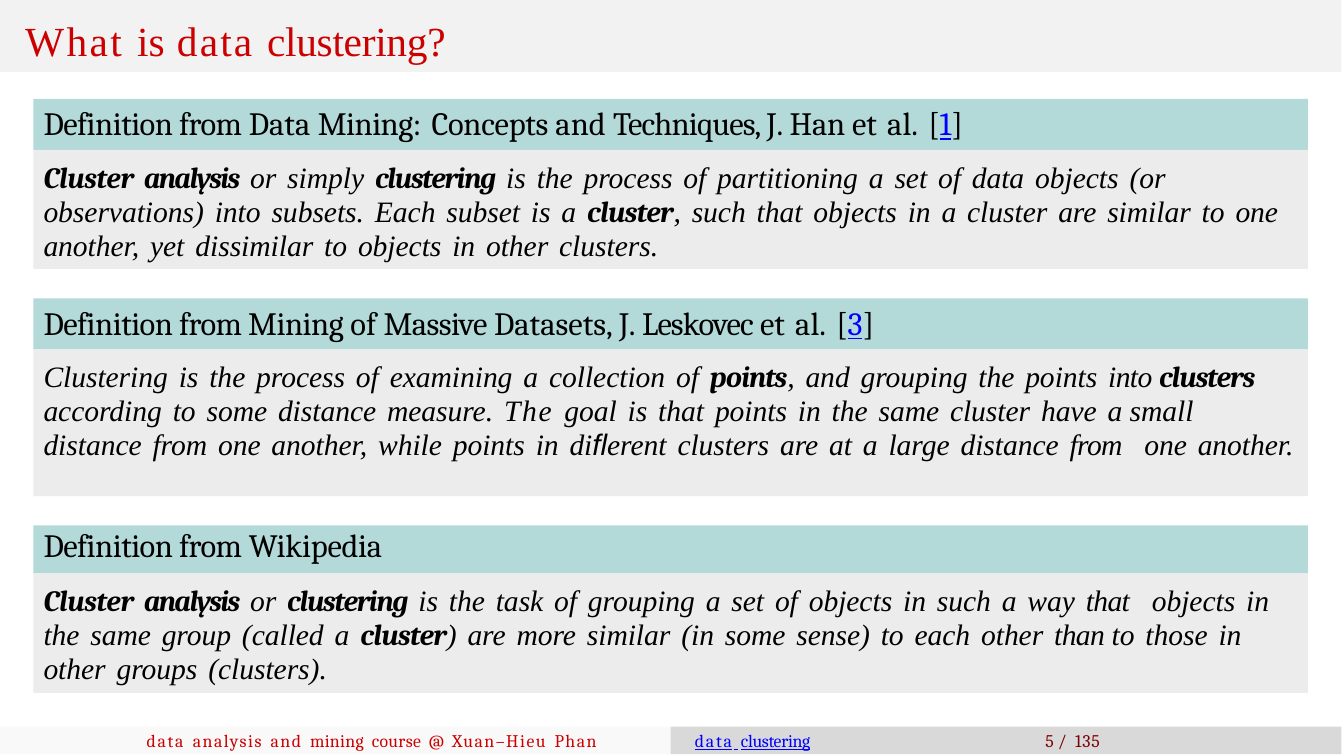
from itertools import groupby

from pptx import Presentation
from pptx.dml.color import RGBColor
from pptx.enum.shapes import MSO_SHAPE as Shape
from pptx.enum.text import MSO_ANCHOR as Anchor, MSO_AUTO_SIZE as AutoSize, PP_ALIGN as Align
from pptx.util import Cm, Pt

BLACK = RGBColor(0, 0, 0)
RED = RGBColor(0xCC, 0, 0)
DARK_RED = RGBColor(0x7A, 0, 0)
LINK_BLUE = RGBColor(0, 0, 0xFF)
TITLE_GREY = RGBColor(0xF2, 0xF2, 0xF2)
TEAL = RGBColor(0xB3, 0xD9, 0xD9)
BODY_GREY = RGBColor(0xEC, 0xEC, 0xEC)
COURSE_GREY = RGBColor(0xF9, 0xF9, 0xF9)
TOPIC_GREY = RGBColor(0xD9, 0xD9, 0xD9)

SERIF, SLAB = "Times New Roman", "Cambria"
TITLE = {"name": SERIF, "size": Pt(14), "color": RED}
HEADING = {"name": SLAB, "size": Pt(11), "color": BLACK}
CITATION = HEADING | {"color": LINK_BLUE, "underline": True}
PLAIN = {"name": SERIF, "size": Pt(10), "color": BLACK, "italic": True}
STRONG = PLAIN | {"name": SLAB, "bold": True}
LIGATURE = PLAIN | {"name": "Arial"}
COURSE = {"name": SLAB, "size": Pt(6), "color": RED}
TOPIC = COURSE | {"color": LINK_BLUE, "underline": True}
PAGE = COURSE | {"color": DARK_RED}
WORD_GAP = 1.2
DOUBLE_GAP = 4.9

DEFINITIONS = [
    (0.61, 1.42, 0.05, [
        ("Definition from ", HEADING, -0.2), ("Data ", HEADING, 0), ("Mining: ", HEADING, -0.2, 1),
        ("Concepts ", HEADING, -0.1), ("and ", HEADING, 0), ("Techniques, ", HEADING, -0.3),
        ("J. ", HEADING, 0), ("Han ", HEADING, -0.1), ("et al. ", HEADING, 0, 1),
        ("[", HEADING, -0.2), ("1", CITATION, -0.2), ("]", HEADING, -0.2),
    ], [
        ("Cluster ", STRONG, -0.1, WORD_GAP), ("analysis ", STRONG, -0.5, WORD_GAP),
        ("or simply ", PLAIN, 0, WORD_GAP), ("clustering ", STRONG, -0.4, WORD_GAP),
        ("is the process of partitioning a set of data objects (or observations) into subsets. "
         "Each subset is a ", PLAIN, 0, WORD_GAP),
        ("cluster", STRONG, -0.2),
        (", such that objects in a cluster are similar to one another, yet dissimilar to objects "
         "in other clusters.", PLAIN, 0, WORD_GAP),
    ]),
    (0.61, 1.75, 0.05, [
        ("Definition from Mining ", HEADING, -0.2), ("of ", HEADING, 0), ("Massive ", HEADING, -0.2),
        ("Datasets, J. ", HEADING, 0), ("Leskovec ", HEADING, -0.3), ("et al. ", HEADING, 0, 1),
        ("[", HEADING, -0.2), ("3", CITATION, -0.2), ("]", HEADING, -0.2),
    ], [
        ("Clustering is the process of examining a collection of ", PLAIN, 0, WORD_GAP),
        ("points", STRONG, -0.3), (", and grouping the points ", PLAIN, 0, WORD_GAP),
        ("into ", PLAIN, -0.2), ("clusters ", STRONG, -0.3),
        ("according to some distance measure. ", PLAIN, 0, WORD_GAP),
        ("The ", PLAIN, 0.6, WORD_GAP),
        ("goal is that points in the same cluster have ", PLAIN, 0, WORD_GAP),
        ("a ", PLAIN, 0),
        ("small distance from one another, while points in di", PLAIN, 0, WORD_GAP),
        ("fl", LIGATURE, 0),
        ("erent clusters are at a large distance ", PLAIN, 0, WORD_GAP),
        ("from ", PLAIN, -0.2, DOUBLE_GAP), ("one another.", PLAIN, 0, WORD_GAP),
    ]),
    (0.57, 1.43, 0, [
        ("Definition from ", HEADING, -0.2), ("Wikipedia", HEADING, -0.1),
    ], [
        ("Cluster ", STRONG, -0.1, WORD_GAP), ("analysis ", STRONG, -0.5, WORD_GAP),
        ("or ", PLAIN, 0, WORD_GAP), ("clustering ", STRONG, -0.4, WORD_GAP),
        ("is the task of grouping a set of objects in such a way ", PLAIN, 0, WORD_GAP),
        ("that ", PLAIN, -0.2, DOUBLE_GAP),
        ("objects in the same group (called a ", PLAIN, 0, WORD_GAP), ("cluster", STRONG, -0.2),
        (") are more similar (in some sense) to each other ", PLAIN, 0, WORD_GAP),
        ("than ", PLAIN, -0.2), ("to those in other groups (clusters).", PLAIN, 0, WORD_GAP),
    ]),
]


def add_run(paragraph, text, style, spacing):
    run = paragraph.add_run()
    run.text = text
    for key, value in style.items():
        if key == "color":
            run.font.color.rgb = value
        else:
            setattr(run.font, key, value)
    run.font._element.set("spc", str(round(spacing * 100)))


def write(holder, phrases, left, top, line_spacing=None):
    frame = holder.text_frame
    layout = {"margin_left": Cm(left), "margin_top": Cm(top), "margin_right": Cm(0.15),
              "margin_bottom": 0, "word_wrap": True, "auto_size": AutoSize.NONE,
              "vertical_anchor": Anchor.TOP}
    for key, value in layout.items():
        setattr(frame, key, value)
    paragraph = frame.paragraphs[0]
    paragraph.alignment = Align.LEFT
    if line_spacing:
        paragraph.line_spacing = line_spacing
    for text, style, spacing, *gap in phrases:
        if gap:
            for is_gap, letters in groupby(text, str.isspace):
                add_run(paragraph, "".join(letters), style, gap[0] if is_gap else spacing)
        else:
            add_run(paragraph, text, style, spacing)


def add_panel(slide, left, top, width, height, color):
    panel = slide.shapes.add_shape(Shape.RECTANGLE, Cm(left), Cm(top), Cm(width), Cm(height))
    panel.shadow.inherit = False
    panel.fill.solid()
    panel.fill.fore_color.rgb = color
    panel.line.fill.background()
    return panel


def add_title(slide, width, height):
    title = slide.shapes.title
    place = {"left": 0, "top": 0, "width": Cm(width), "height": Cm(height)}
    for key, value in place.items():
        setattr(title, key, value)
    title.fill.solid()
    title.fill.fore_color.rgb = TITLE_GREY
    write(title, [("What ", TITLE, 0.8), ("is ", TITLE, 0, 0.6), ("data ", TITLE, 0.7),
                  ("clustering?", TITLE, -0.1)], 0.3, 0.18)


def add_definitions(slide, left, top, width, gap):
    for heading_height, body_height, heading_inset, heading, body in DEFINITIONS:
        heading_panel = add_panel(slide, left, top, width, heading_height, TEAL)
        write(heading_panel, heading, 0.12, heading_inset)
        top += heading_height
        body_panel = add_panel(slide, left, top, width, body_height, BODY_GREY)
        write(body_panel, body, 0.12, 0.12, Pt(11.5))
        top += body_height + gap


def add_footer(slide, top, width, height):
    half = width / 2
    course = add_panel(slide, 0, top, half, height, COURSE_GREY)
    write(course, [("data ", COURSE, 0.6, WORD_GAP), ("analysis and ", COURSE, 0.5, WORD_GAP),
                   ("mining course @ ", COURSE, 0.1, WORD_GAP),
                   ("Xuan–Hieu Phan", COURSE, 0.5, WORD_GAP)], 1.75, 0.04)
    topic = add_panel(slide, half, top, half, height, TOPIC_GREY)
    write(topic, [("data ", TOPIC, 0.6, 1.1), ("clustering", TOPIC, -0.1)], 0.29, 0.04)
    page = slide.shapes.add_textbox(Cm(half + 4.24), Cm(top), Cm(1.12), Cm(height))
    write(page, [("5 ", PAGE, 0), ("/ ", PAGE, 0.8), ("135", PAGE, 0.3)], 0.23, 0.04)


def main():
    deck = Presentation()
    deck.slide_width, deck.slide_height = Cm(16.03), Cm(9.02)
    slide = deck.slides.add_slide(deck.slide_layouts[5])
    add_title(slide, 16, 0.86)
    add_definitions(slide, 0.4, 1.18, 15.2, 0.35)
    add_footer(slide, 8.67, 16, 0.33)
    deck.save("out.pptx")


if __name__ == "__main__":
    main()
